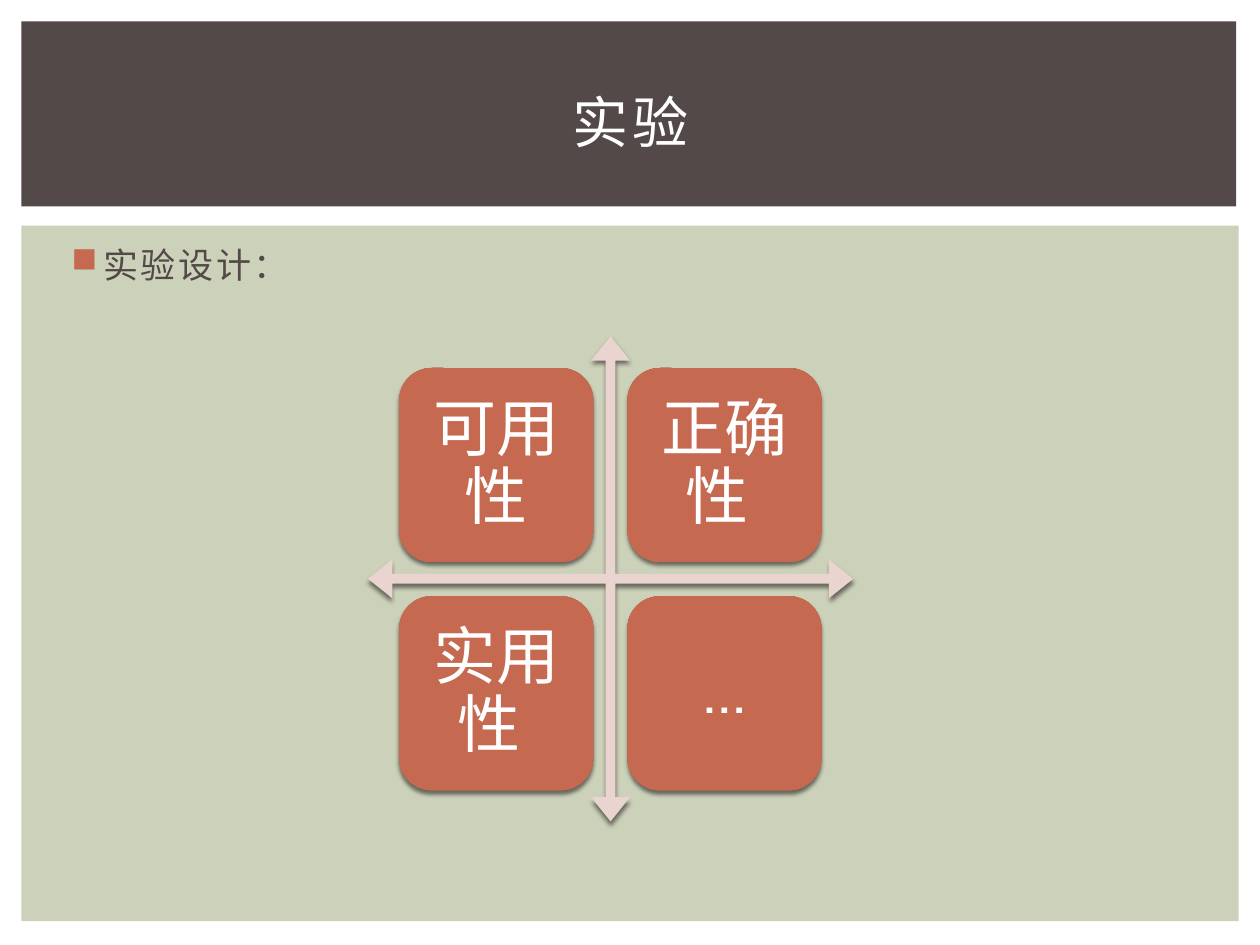
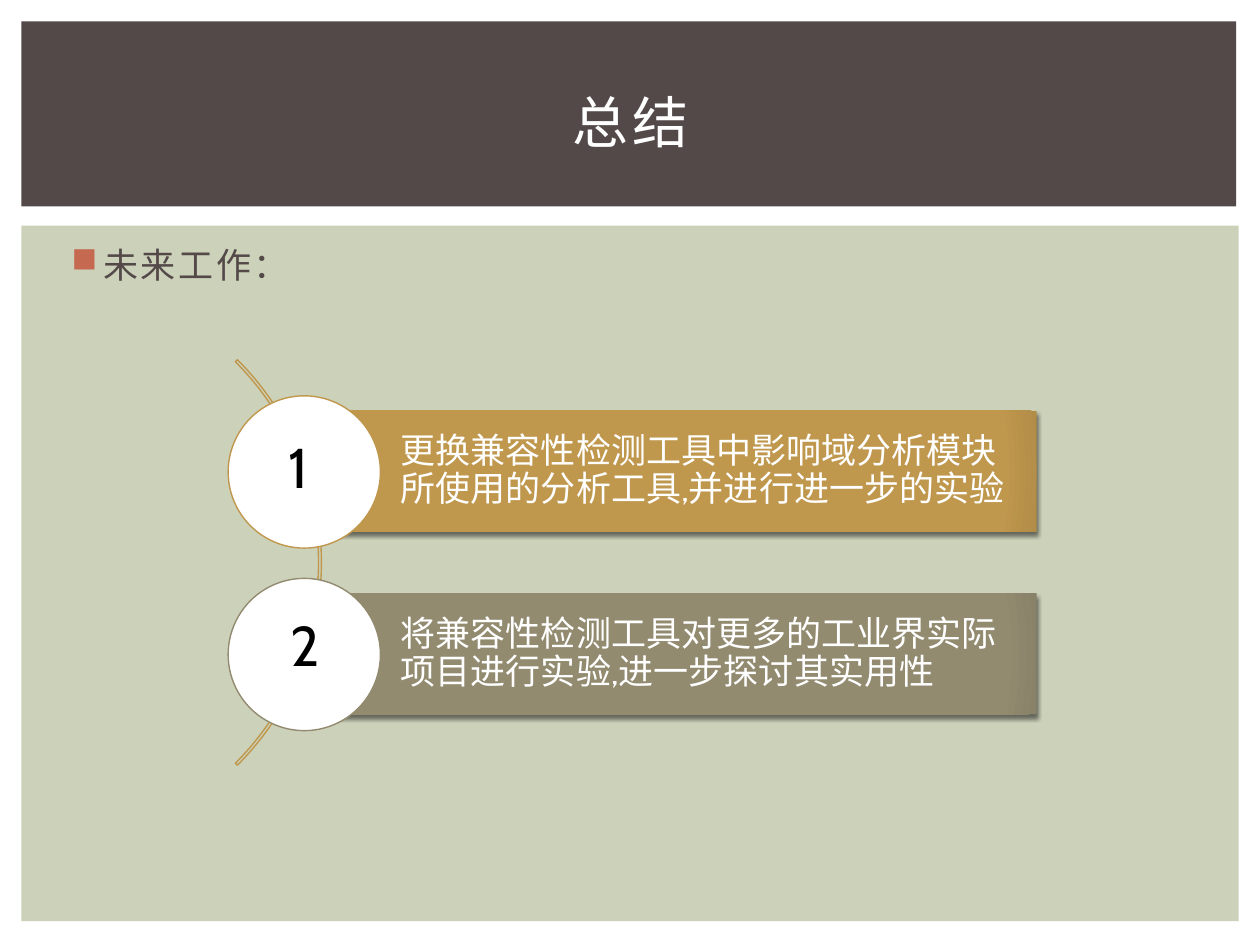
from pptx import Presentation
from pptx.dml.color import RGBColor as RGB
from pptx.enum.shapes import MSO_SHAPE as Kind
from pptx.enum.text import MSO_ANCHOR as Anchor, MSO_AUTO_SIZE as Fit, PP_ALIGN as Align
from pptx.oxml import parse_xml
from pptx.oxml.ns import nsdecls
from pptx.util import Cm, Pt

FONT = "Cabin"
HUES = {
    "panel": "CCD1B9", "band": "534949", "white": "FFFFFF", "black": "000000",
    "rust": "C66951", "rust_rim": "B8624B", "pink": "EAD4D0",
    "gold": "BF974D", "gold_rim": "B28D48", "olive": "928B70", "olive_rim": "888268",
}
NS = nsdecls("a")


def write(frame, text, size=20, hue="white", align=Align.LEFT, anchor=Anchor.MIDDLE,
          pads=(0.25, 0.13, 0.25, 0.13), lead=None, before=0, track=0, wrap=True, bullet=None):
    frame.word_wrap = wrap
    frame.auto_size = Fit.NONE if wrap else Fit.SHAPE_TO_FIT_TEXT
    frame.vertical_anchor = anchor
    frame.margin_left, frame.margin_top, frame.margin_right, frame.margin_bottom = map(Cm, pads)
    para = frame.paragraphs[0]
    para.alignment = align
    para.space_before = Pt(before)
    if lead:
        para.line_spacing = lead
    run = para.add_run()
    run.text = text
    run.font.name = FONT
    run.font.size = Pt(size)
    run.font.color.rgb = RGB.from_string(HUES[hue])
    if track:
        run.font._element.set("spc", str(int(track * 100)))
    if bullet:
        props = para._p.get_or_add_pPr()
        props.set("marL", str(Cm(0.76)))
        props.set("indent", str(Cm(-0.64)))
        props.append(parse_xml(f'<a:buClr {NS}><a:srgbClr val="{HUES[bullet]}"/></a:buClr>'))
        props.append(parse_xml(f'<a:buChar {NS} char="■"/>'))


def draw(slide, kind, box, fill=None, rim=None, line=None, shade=False, bends=()):
    shape = slide.shapes.add_shape(kind, *map(Cm, box))
    for i, bend in enumerate(bends):
        shape.adjustments[i] = bend
    if fill:
        shape.fill.solid()
        shape.fill.fore_color.rgb = RGB.from_string(HUES[fill])
    else:
        shape.fill.background()
    if line:
        shape.line.color.rgb = RGB.from_string(HUES[line])
        shape.line.width = Pt(0.79)
    else:
        shape.line.fill.background()
    shape.shadow.inherit = False
    props = shape._element.spPr
    if rim:
        stops = "".join(f'<a:gs pos="{pos}000"><a:srgbClr val="{HUES[hue]}"/></a:gs>'
                        for pos, hue in ((0, fill), (90, fill), (100, rim)))
        props.replace(props.find("{*}solidFill"), parse_xml(
            f'<a:gradFill {NS} rotWithShape="1"><a:gsLst>{stops}</a:gsLst><a:path path="circle">'
            '<a:fillToRect l="100000" t="100000" r="100000" b="100000"/></a:path></a:gradFill>'))
    if shade:
        props.find("{*}effectLst").append(parse_xml(
            f'<a:outerShdw {NS} blurRad="{Pt(2.5)}" dist="{Pt(2)}" dir="5400000" rotWithShape="0">'
            f'<a:srgbClr val="{HUES["black"]}"><a:alpha val="50000"/></a:srgbClr></a:outerShdw>'))
    return shape


deck = Presentation()
deck.slide_width, deck.slide_height = Cm(25.4), Cm(19.05)
base = deck.slide_layouts[5]
pages = []
for head, lead in (("实验", "实验设计："), ("总结", "未来工作：")):
    page = deck.slides.add_slide(base)
    title = page.shapes.title
    title.left, title.top, title.width, title.height = map(Cm, (1.07, 0.99, 23.29, 2.92))
    write(title.text_frame, head, size=32, align=Align.CENTER, track=2)
    body = page.shapes.add_textbox(*map(Cm, (1.07, 4.78, 23.34, 12.24)))
    write(body.text_frame, lead, hue="band", anchor=Anchor.TOP, before=4, track=1.5, bullet="rust")
    pages.append(page)
test, plan = pages

panel = draw(test, Kind.RECTANGLE, (0.43, 4.55, 24.54, 14.02), "panel")
band = draw(test, Kind.RECTANGLE, (0.43, 0.43, 24.49, 3.73), "band")
for i, part in enumerate((panel, band)):
    base.shapes._spTree.insert(2 + i, part._element)

draw(test, Kind.QUAD_ARROW, (7.42, 6.78, 9.78, 9.78), "pink", shade=True, bends=(0.02, 0.04, 0.05))
for i, goal in enumerate(("可用性", "正确性 ", "实用性 ", "…")):
    row, col = divmod(i, 2)
    tile = draw(test, Kind.ROUNDED_RECTANGLE, (8.05 + 4.6 * col, 7.42 + 4.6 * row, 3.91, 3.91),
                "rust", rim="rust_rim", shade=True)
    write(tile.text_frame, goal, size=36, align=Align.CENTER, pads=(0.38,) * 4, lead=0.9)

draw(plan, Kind.BLOCK_ARC, (-5.08, 5.56, 11.56, 11.56), line="gold", bends=(189, 27, 0.005))
steps = (
    ("gold", "更换兼容性检测工具中影响域分析模块所使用的分析工具,并进行进一步的实验", 5.56, 8.59),
    ("olive", "将兼容性检测工具对更多的工业界实际项目进行实验,进一步探讨其实用性", 5.61, 12.17),
)
for i, (hue, text, left, top) in enumerate(steps):
    drop = 3.68 * i
    bar = draw(plan, Kind.RECTANGLE, (6.12, 8.28 + drop, 14.78, 2.44), hue, rim=hue + "_rim", shade=True)
    write(bar.text_frame, text, pads=(1.96, 0.15, 0.15, 0.15), lead=0.9)
    draw(plan, Kind.OVAL, (4.6, 7.98 + drop, 3.07, 3.07), "white", line=hue)
    mark = plan.shapes.add_textbox(*map(Cm, (left, top, 1.19, 1.63)))
    write(mark.text_frame, str(i + 1), size=32, hue="black", anchor=Anchor.TOP, wrap=False)

deck.save("out.pptx")
